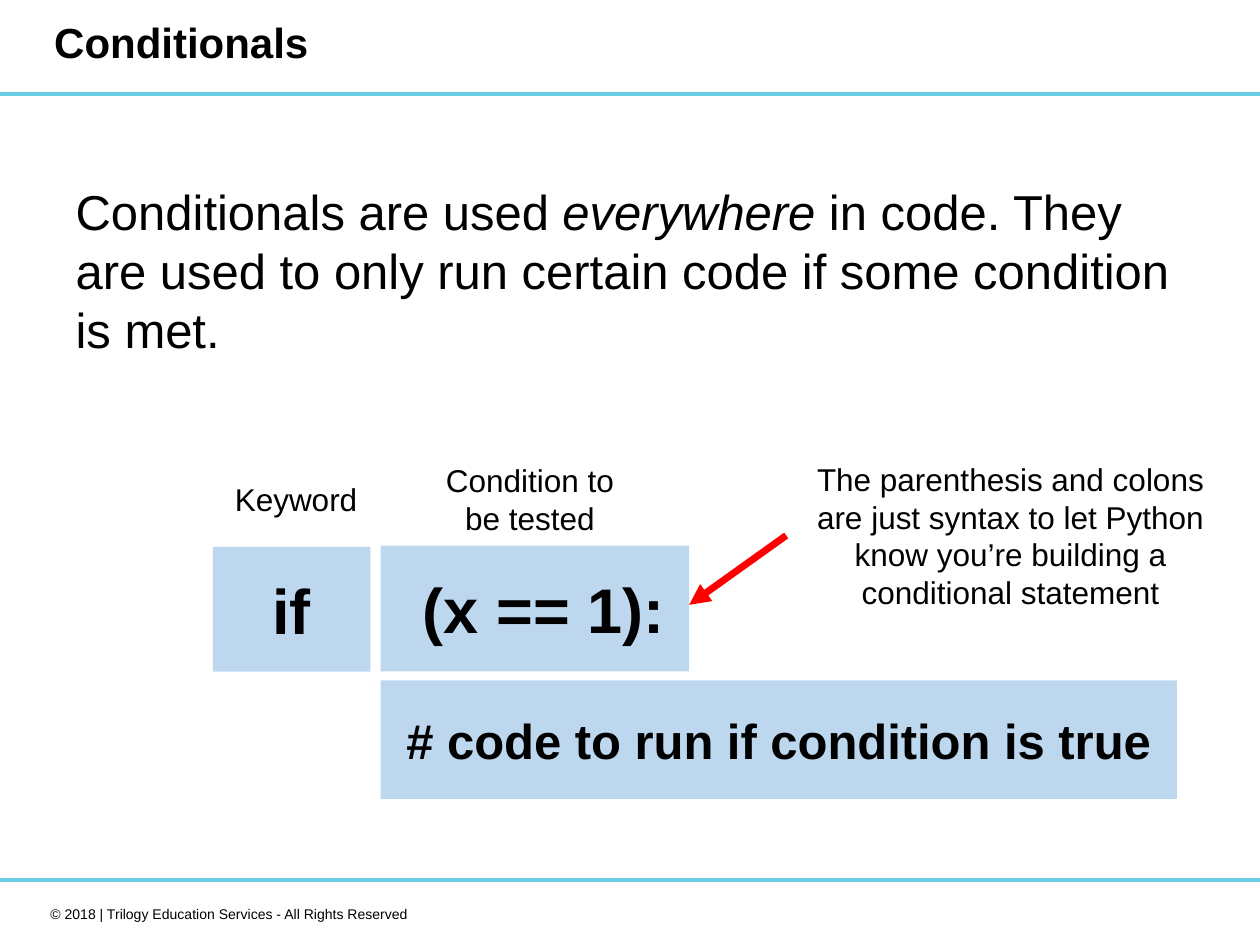
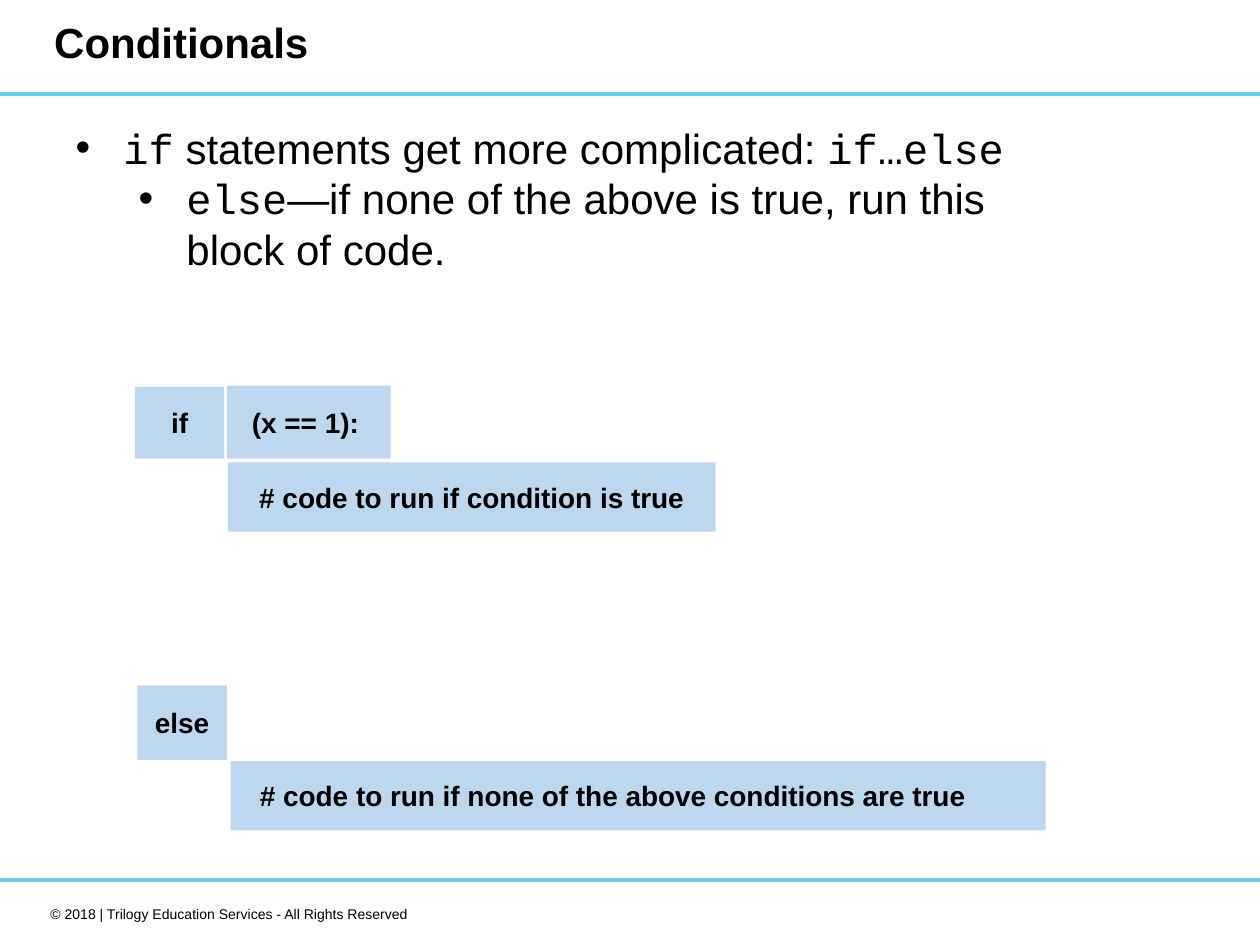
"""Build two slides that explain Python conditionals."""
from lxml.etree import SubElement
from pptx import Presentation
from pptx.dml.color import RGBColor
from pptx.enum.shapes import MSO_CONNECTOR as CONNECTOR, MSO_SHAPE as SHAPE
from pptx.enum.text import MSO_ANCHOR as ANCHOR, MSO_AUTO_SIZE as AUTO_SIZE, PP_ALIGN as ALIGN
from pptx.oxml.ns import qn
from pptx.util import Inches, Pt

BLACK, BAND, BLOCK, ARROW = "000000", "6CCCE6", "BDD7EE", "FF0000"
SANS, MONO = "Arial", "Courier New"


def paint(fill, color):
    """Make a fill solid in a hex colour."""
    fill.solid()
    fill.fore_color.rgb = RGBColor.from_string(color)


def style(paragraph, size, bold=False, align=ALIGN.LEFT):
    """Align a paragraph and format all of its runs."""
    paragraph.alignment = align
    paragraph.space_before = Pt(0)
    for run in paragraph.runs:
        run.font.size = Pt(size)
        run.font.bold = bold
        run.font.name = run.font.name or SANS
        paint(run.font.fill, BLACK)


presentation = Presentation()
presentation.slide_width, presentation.slide_height = Inches(10), Inches(7.5)
layout = presentation.slide_layouts[1]
for placeholder in list(layout.placeholders)[2:]:
    placeholder.element.getparent().remove(placeholder.element)

slides = [presentation.slides.add_slide(layout) for _ in range(2)]
intro_slide, else_slide = slides

shared_shapes = []
for top in (0.73, 6.97):
    band = intro_slide.shapes.add_shape(
        SHAPE.FLOWCHART_PROCESS, Inches(0), Inches(top), Inches(10), Inches(0.03))
    band.shadow.inherit = False
    paint(band.fill, BAND)
    band.line.fill.background()
    shared_shapes.append(band)
footer = intro_slide.shapes.add_textbox(Inches(0.17), Inches(7.14), Inches(3.17), Inches(0.24))
footer.text_frame.word_wrap = True
footer.text_frame.text = "© 2018 | Trilogy Education Services - All Rights Reserved"
style(footer.text_frame.paragraphs[0], 8, align=ALIGN.RIGHT)
shared_shapes.append(footer)
for shape in shared_shapes:
    layout.shapes.element.append(shape.element)

for slide in slides:
    title = slide.shapes.title
    title.left, title.top, title.width, title.height = map(Inches, (0.33, 0, 7.5, 0.72))
    title.text_frame.text = "Conditionals"
    title.text_frame.auto_size = AUTO_SIZE.NONE
    title.text_frame.vertical_anchor = ANCHOR.MIDDLE
    title.text_frame.paragraphs[0].line_spacing = 0.9
    style(title.text_frame.paragraphs[0], 24, bold=True)

bodies = [
    (intro_slide, (0.5, 1.39, 9.17, 1.6), 28, False, [
        [("Conditionals are used ", SANS, False), ("everywhere", SANS, True),
         (" in code. They are used to only run certain code if some condition is met.",
          SANS, False)]]),
    (else_slide, (0.5, 0.92, 8.17, 1.6), 24, True, [
        [("if", MONO, False), (" statements get more complicated: ", SANS, False),
         ("if…else", MONO, False)],
        [("else", MONO, False),
         ("—if none of the above is true, run this block of code.", SANS, False)]]),
]
for slide, box, size, bulleted, paragraphs in bodies:
    body = slide.placeholders[1]
    body.left, body.top, body.width, body.height = map(Inches, box)
    frame = body.text_frame
    frame.auto_size = AUTO_SIZE.NONE
    for level, runs in enumerate(paragraphs):
        paragraph = frame.add_paragraph() if level else frame.paragraphs[0]
        paragraph.level = level
        properties = paragraph._p.get_or_add_pPr()
        properties.set("marL", str(Inches(0.38 + 0.5 * level) if bulleted else 0))
        properties.set("indent", str(Inches(-0.38) if bulleted else 0))
        if bulleted:
            SubElement(properties, qn("a:buChar")).set("char", "•")
        else:
            SubElement(properties, qn("a:buNone"))
        for text, font_name, italic in runs:
            run = paragraph.add_run()
            run.text = text
            run.font.name = font_name
            run.font.italic = italic
        style(paragraph, size)

code_blocks = [
    (intro_slide, "if", (1.69, 4.34, 1.25, 0.99), 36, 0, 0),
    (intro_slide, "(x == 1):", (3.02, 4.33, 2.45, 1), 36, 0.14, 0),
    (intro_slide, "# code to run if condition is true", (3.02, 5.4, 6.32, 0.94), 28, 0, 0),
    (else_slide, "if", (1.07, 3.07, 0.71, 0.57), 16, 0, 0),
    (else_slide, "(x == 1):", (1.8, 3.06, 1.3, 0.58), 16, 0, 0.05),
    (else_slide, "# code to run if condition is true", (1.81, 3.67, 3.87, 0.55), 16, 0, 0),
    (else_slide, "else", (1.09, 5.44, 0.71, 0.59), 16, 0, 0),
    (else_slide, "# code to run if none of the above conditions are true",
     (1.83, 6.04, 6.47, 0.55), 16, 0, 0.4),
]
for slide, text, box, size, left_inset, right_inset in code_blocks:
    block = slide.shapes.add_shape(SHAPE.RECTANGLE, *map(Inches, box))
    block.shadow.inherit = False
    paint(block.fill, BLOCK)
    block.line.fill.background()
    frame = block.text_frame
    frame.text = text
    frame.vertical_anchor = ANCHOR.MIDDLE
    frame.margin_left, frame.margin_right = Inches(left_inset), Inches(right_inset)
    style(frame.paragraphs[0], size, bold=True, align=ALIGN.CENTER)

labels = [
    ("Keyword", (1.76, 3.76, 1.18, 0.4)),
    ("Condition to be tested", (3.43, 3.61, 1.55, 0.71)),
    ("The parenthesis and colons are just syntax to let Python know you’re building "
     "a conditional statement", (6.24, 3.6, 3.56, 1.31)),
]
for text, box in labels:
    label = intro_slide.shapes.add_textbox(*map(Inches, box))
    label.text_frame.word_wrap = True
    label.text_frame.text = text
    style(label.text_frame.paragraphs[0], 18, align=ALIGN.CENTER)

arrow = intro_slide.shapes.add_connector(
    CONNECTOR.STRAIGHT, Inches(6.24), Inches(4.25), Inches(5.47), Inches(4.8))
arrow.line.width = Pt(4)
paint(arrow.line.fill, ARROW)
SubElement(arrow.line._get_or_add_ln(), qn("a:tailEnd")).set("type", "triangle")
SubElement(arrow.element.spPr, qn("a:effectLst"))

presentation.save("out.pptx")
